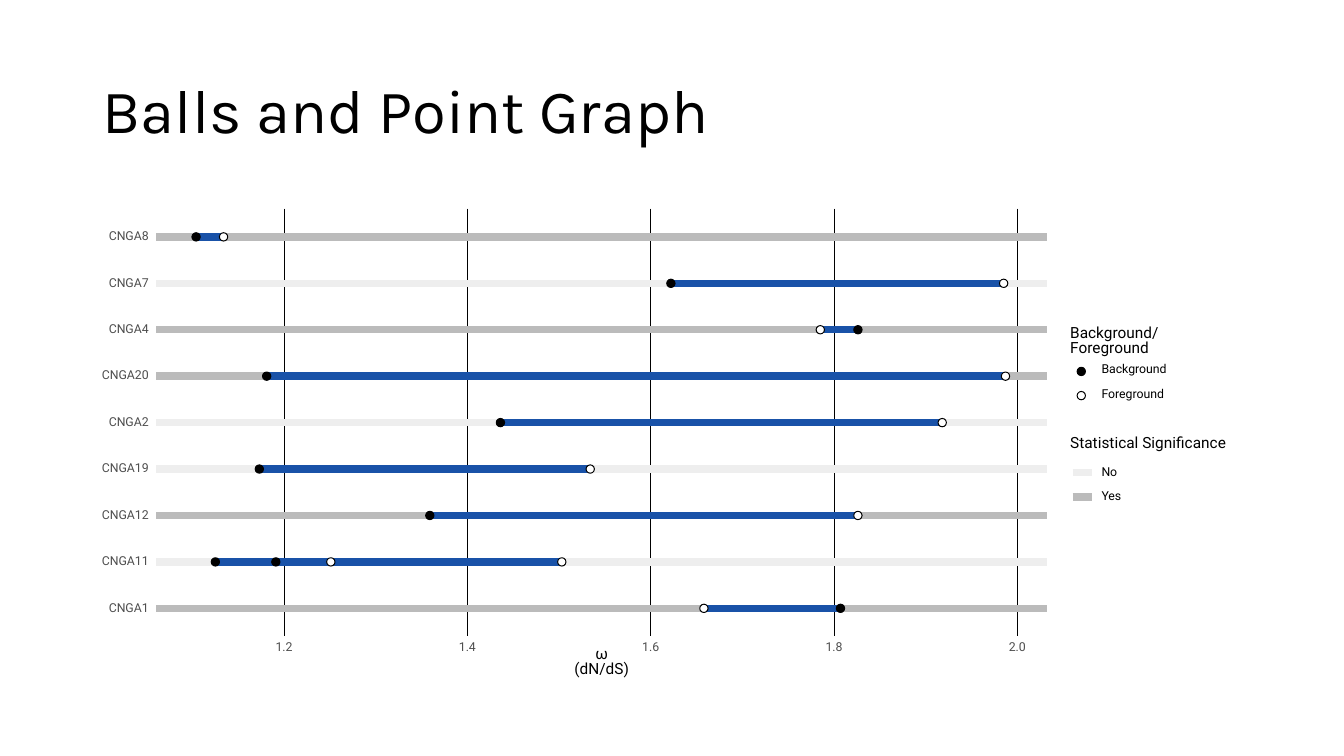
from dataclasses import dataclass

from lxml.etree import SubElement
from pptx import Presentation
from pptx.dml.color import RGBColor
from pptx.enum.shapes import MSO_CONNECTOR, MSO_SHAPE
from pptx.enum.text import MSO_ANCHOR, PP_ALIGN
from pptx.oxml.ns import qn
from pptx.util import Cm, Pt

BLACK, WHITE, BLUE, GREY = "000000", "FFFFFF", "1952A8", "4D4D4D"
SHADE = {"No": "EEEEEE", "Yes": "BBBBBB"}
FILL = {"Background": BLACK, "Foreground": WHITE}
LEFT, RIGHT, TOP, BASE = 3.94, 26.39, 5.26, 16.03
FIRST, STEP = 5.97, 1.17
BAR = 5.33


@dataclass
class Gene:
    """Pairs hold background and foreground ω in hundredths."""
    name: str
    proof: str
    pairs: list[tuple[float, float]]


@dataclass
class Key:
    """A legend block: heading, its labels and their colours."""
    title: str
    y: float
    marks: dict[str, str]
    dots: bool


GENES = [
    Gene("CNGA8", "Yes", [(110.4, 113.4)]),
    Gene("CNGA7", "No", [(162.2, 198.5)]),
    Gene("CNGA4", "Yes", [(182.6, 178.5)]),
    Gene("CNGA20", "Yes", [(118.1, 198.7)]),
    Gene("CNGA2", "No", [(143.6, 191.8)]),
    Gene("CNGA19", "No", [(117.3, 153.4)]),
    Gene("CNGA12", "Yes", [(135.9, 182.6)]),
    Gene("CNGA11", "No", [(112.5, 150.3), (119.1, 125.1)]),
    Gene("CNGA1", "Yes", [(180.7, 165.8)]),
]
KEYS = [
    Key("Background/Foreground", 8.61, FILL, True),
    Key("Statistical Significance", 11.19, SHADE, False),
]

deck = Presentation()
deck.slide_width, deck.slide_height = Cm(33.87), Cm(19.05)
slide = deck.slides.add_slide(deck.slide_layouts[6])
shapes = slide.shapes


def paint(code: str) -> RGBColor:
    return RGBColor.from_string(code)


def place(omega: float) -> float:
    """Map ω in hundredths to centimetres from the slide's left edge."""
    return 7.16 + (omega - 120) * 4.62 / 20


def line(x1: float, y1: float, x2: float, y2: float, color: str, width: float) -> None:
    link = shapes.add_connector(MSO_CONNECTOR.STRAIGHT, Cm(x1), Cm(y1), Cm(x2), Cm(y2))
    link.line.color.rgb = paint(color)
    link.line.width = Pt(width)
    SubElement(link._element.spPr, qn("a:effectLst"))


def dot(x: float, y: float, color: str, size: float = 0.21) -> None:
    """Draw a ball centred on x, y."""
    ball = shapes.add_shape(MSO_SHAPE.OVAL, Cm(x - size / 2), Cm(y - size / 2),
                            Cm(size), Cm(size))
    ball.shadow.inherit = False
    ball.fill.solid()
    ball.fill.fore_color.rgb = paint(color)
    ball.line.color.rgb = paint(BLACK)
    ball.line.width = Pt(0.71)


def label(text: str, x: float, y: float, width: float, size: float = 8.8,
          color: str = BLACK, align: PP_ALIGN = PP_ALIGN.LEFT,
          face: str = "Roboto", space: float | None = None) -> None:
    """Write one line from x, centred vertically on y."""
    high = size / 28.35
    box = shapes.add_textbox(Cm(x), Cm(y - high / 2), Cm(width), Cm(high))
    frame = box.text_frame
    form = {"margin_left": 0, "margin_right": 0, "margin_top": 0, "margin_bottom": 0,
            "word_wrap": False, "vertical_anchor": MSO_ANCHOR.MIDDLE}
    for name, value in form.items():
        setattr(frame, name, value)
    para = frame.paragraphs[0]
    para.alignment = align
    para.line_spacing = space or Pt(size)
    run = para.add_run()
    run.text = text
    for name, value in {"name": face, "size": Pt(size)}.items():
        setattr(run.font, name, value)
    run.font.color.rgb = paint(color)


def graph() -> None:
    for tick in range(120, 201, 20):
        x = place(tick)
        line(x, TOP, x, BASE, BLACK, 0.64)
        label(f"{tick / 100:.1f}", x - 0.25, 16.32, 0.5, color=GREY, align=PP_ALIGN.CENTER)
    for row, gene in enumerate(GENES):
        y = FIRST + row * STEP
        line(LEFT, y, RIGHT, y, SHADE[gene.proof], BAR)
        label(gene.name, 2.5, y, 1.25, color=GREY, align=PP_ALIGN.RIGHT)
        for back, front in gene.pairs:
            line(place(back), y, place(front), y, BLUE, BAR)
        for pair in gene.pairs:
            for omega, color in zip(pair, FILL.values()):
                dot(place(omega), y, color)
    label("ω (dN/dS)", 14.3, 16.69, 1.73, size=11, align=PP_ALIGN.CENTER)


def legend(key: Key) -> None:
    label(key.title, 26.97, key.y, 4.2, size=11)
    for row, (name, color) in enumerate(key.marks.items()):
        y = key.y + 0.72 + row * 0.61
        label(name, 27.76, y, 1.75)
        if key.dots:
            dot(27.25, y + 0.03, color)
        else:
            line(27.03, y, 27.51, y, color, BAR)


label("Balls and Point Graph", 2.59, 2.86, 28.7, size=44, face="Karla", space=0.9)
graph()
for key in KEYS:
    legend(key)
deck.save("out.pptx")
